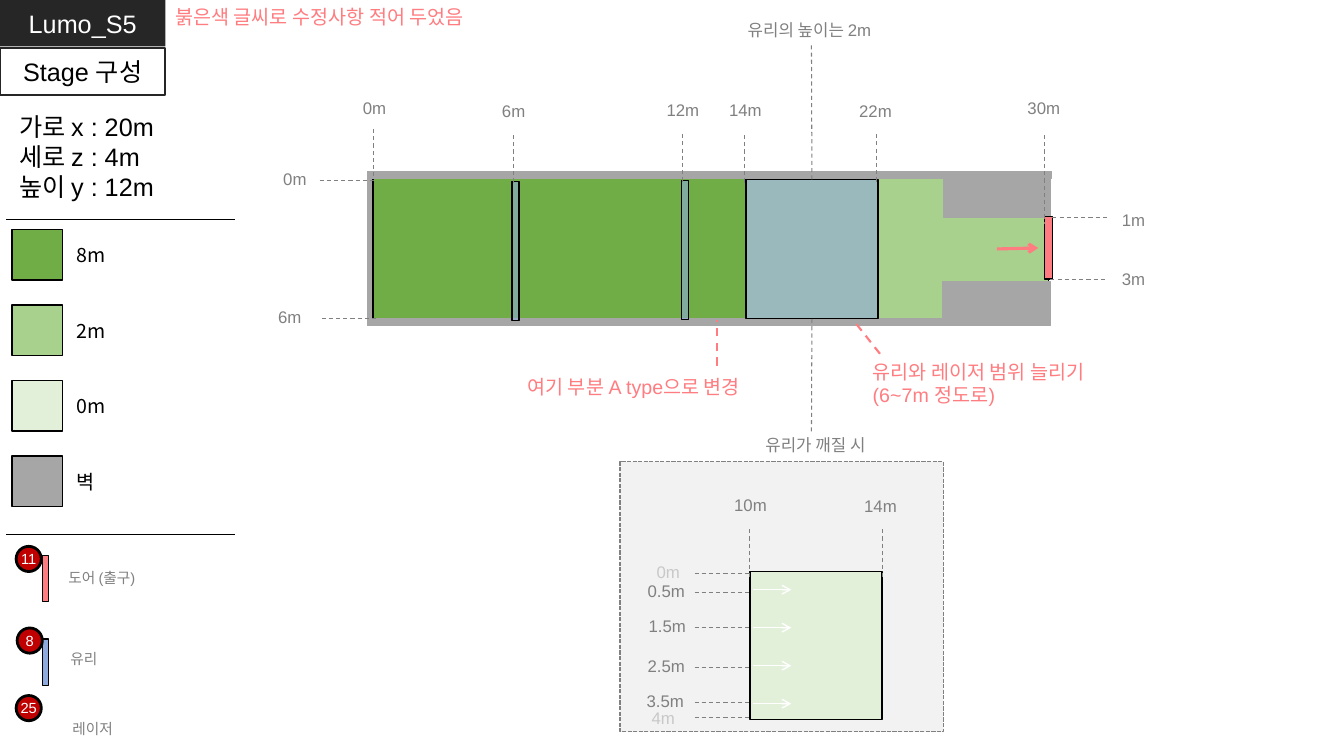
from dataclasses import dataclass
from lxml.etree import SubElement
from pptx import Presentation
from pptx.dml.color import RGBColor
from pptx.enum.dml import MSO_LINE
from pptx.enum.shapes import MSO_CONNECTOR, MSO_SHAPE
from pptx.enum.text import MSO_ANCHOR, MSO_AUTO_SIZE, PP_ALIGN
from pptx.oxml.ns import qn
from pptx.util import Inches, Pt


@dataclass(frozen=True)
class Theme:
    black: str = "000000"
    white: str = "FFFFFF"
    dark: str = "262626"
    gray: str = "808080"
    faint: str = "C8C8C8"
    wall: str = "A6A6A6"
    panel: str = "F2F2F2"
    high: str = "70AD47"
    mid: str = "A9D18E"
    low: str = "E2F0D9"
    glass: str = "8FAADC"
    coral: str = "FF7C80"
    badge: str = "C00000"
    font: str = "Arial"
    korean: str = "Noto Sans CJK KR"
    head: float = 18
    note: float = 14
    label: float = 12
    small: float = 10.5


T = Theme()
COLS, ROWS = 133.33, 75  # grid of tenth-inch cells


def cell(n):
    return Inches(n / 10)


def rgb(color):
    return RGBColor.from_string(color)


# Text
def write(s, text, size, color, align=PP_ALIGN.LEFT, font=T.font,
          anchor=MSO_ANCHOR.TOP, wrap=True):
    tf = s.text_frame
    tf.text = text
    tf.word_wrap = wrap
    tf.auto_size = MSO_AUTO_SIZE.NONE
    tf.vertical_anchor = anchor
    for p in tf.paragraphs:
        p.alignment = align
        p.space_before = Pt(0)
        for r in p.runs:
            r.font.name, r.font.size = font, Pt(size)
            r.font.color.rgb = rgb(color)
            SubElement(r.font._element, qn("a:ea"), typeface=T.korean)


def place(s, x, y, w, h):
    s.left, s.top, s.width, s.height = map(cell, (x, y, w, h))


def textbox(sp, text, x, y, w, h, size=T.label, color=T.gray,
            align=PP_ALIGN.LEFT, font=T.font):
    s = sp.add_textbox(*map(cell, (x, y, w, h)))
    write(s, text, size, color, align, font)


def label(sp, text, cx, y, color=T.gray, w=5.8):
    textbox(sp, text, cx - w / 2, y, w, 3, color=color, align=PP_ALIGN.CENTER)


# Shapes and lines
def box(sp, x, y, w, h, fill, line=T.black, width=1, kind=MSO_SHAPE.RECTANGLE, alpha=None):
    s = sp.add_shape(kind, *map(cell, (x, y, w, h)))
    s.shadow.inherit = False
    s.fill.solid()
    s.fill.fore_color.rgb = rgb(fill)
    s.line.color.rgb = rgb(line)
    s.line.width = Pt(width)
    if alpha:
        clr = s._element.spPr.find(qn("a:solidFill"))[0]
        SubElement(clr, qn("a:alpha"), val=str(alpha * 1000))
    return s


def line(sp, x1, y1, x2, y2, color=T.gray, width=0.75, dash=True, arrow=False):
    s = sp.add_connector(MSO_CONNECTOR.STRAIGHT, *map(cell, (x1, y1, x2, y2)))
    s.line.color.rgb = rgb(color)
    s.line.width = Pt(width)
    if dash:
        s.line.dash_style = MSO_LINE.DASH
    if arrow:
        SubElement(s.line._get_or_add_ln(), qn("a:tailEnd"), type="arrow")
    SubElement(s._element.spPr, qn("a:effectLst"))
    return s


def badge(sp, text, x, y):
    s = box(sp, x, y, 2.5, 2.5, T.badge, width=2, kind=MSO_SHAPE.OVAL)
    tf = s.text_frame
    tf.margin_left = tf.margin_right = tf.margin_top = tf.margin_bottom = 0
    write(s, text, T.small, T.white, PP_ALIGN.CENTER, anchor=MSO_ANCHOR.MIDDLE, wrap=False)


# Left column: headings, size list and legend
def headings(slide):
    title, body = slide.placeholders
    place(title, 0, 0, 16.4, 4.6)
    title.fill.solid()
    title.fill.fore_color.rgb = rgb(T.dark)
    write(title, "Lumo_S5", T.head, T.white, PP_ALIGN.CENTER, anchor=MSO_ANCHOR.MIDDLE)
    place(body, 0.9, 10.5, 22, 10.1)
    write(body, "가로 x : 20m\n세로 z : 4m\n높이 y : 12m", T.head, T.black)
    for p in body.text_frame.paragraphs:
        pPr = p._p.get_or_add_pPr()
        pPr.set("marL", "0")
        pPr.set("indent", "0")
        SubElement(pPr, qn("a:buNone"))
    s = box(slide.shapes, 0, 4.8, 16.4, 4.6, T.white, T.dark, 1.5)
    write(s, "Stage 구성", T.head, T.black, PP_ALIGN.CENTER, anchor=MSO_ANCHOR.MIDDLE)


def legend(sp):
    for y in (21.8, 53):
        line(sp, 0.6, y, 23.3, y, T.black, 1, dash=False)
    swatches = (("8m", T.high), ("2m", T.mid), ("0m", T.low), ("벽", T.wall))
    for i, (text, color) in enumerate(swatches):
        y = 22.8 + 7.48 * i
        box(sp, 1.2, y, 5, 5, color)
        textbox(sp, text, 6.6, y + 0.85, 7.1, 3.3, T.note, T.black, font=T.korean)
    for y, color in ((55.1, T.coral), (63.4, T.glass)):
        box(sp, 4.2, y, 0.6, 4.6, color)
    for number, x, y, text, tx, ty in (("11", 1.6, 54.2, "도어 (출구)", 5.8, 55.9),
                                       ("8", 1.7, 62.3, "유리", 6, 64),
                                       ("25", 1.6, 69, "레이저", 6.2, 70.9)):
        badge(sp, number, x, y)
        textbox(sp, text, tx, ty, 15.8, 2.8, T.small)


# Stage seen from above
def stage(sp):
    box(sp, 71.1, 17.6, 32.9, 14.7, T.mid)
    box(sp, 36.5, 17, 0.7, 15.3, T.wall, T.wall)
    box(sp, 37, 17.6, 37, 14.7, T.high)
    for x, y, w, h in ((93.5, 27.9, 10.7, 4.3), (93.6, 17.6, 10.6, 4),
                       (36.5, 31.6, 67.7, 0.7), (36.5, 17, 67.8, 0.7)):
        box(sp, x, y, w, h, T.wall, T.wall)
    box(sp, 103.6, 21.5, 0.8, 6.2, T.coral)
    line(sp, 98.9, 24.7, 103, 24.6, T.coral, 2.25, dash=False, arrow=True)
    for x, y in ((50.8, 18), (67.6, 17.9)):
        box(sp, x, y, 0.7, 13.8, T.glass, alpha=60)
    pane = box(sp, 74, 17.8, 13.1, 13.8, T.glass, alpha=60)
    line(sp, 80.5, 17.8, 80.5, 4.5).begin_connect(pane, 0)
    line(sp, 80.5, 42.8, 80.5, 31.6).end_connect(pane, 2)
    label(sp, "유리의 높이는 2m", 80.3, 1.5, w=17.2)
    label(sp, "유리가 깨질 시", 80.9, 42.6, w=17.2)

    # Distances along the top
    for text, cx, ly, x, top, end in (
            ("0m", 37.15, 9.2, 37.05, 12.8, 17.6), ("6m", 50.95, 9.5, 50.95, 13.4, 18.2),
            ("12m", 67.75, 9.4, 67.75, 13.3, 18.2), ("14m", 73.95, 9.4, 73.9, 13.4, 18.2),
            ("22m", 86.85, 9.5, 86.95, 13.3, 18.1), ("30m", 103.55, 9.2, 103.6, 13.4, 22.2)):
        label(sp, text, cx, ly)
        line(sp, x, top, x, end)
    # Distances at the sides
    for text, cx, ly, x, y in (("0m", 29.25, 16.2, 31.7, 17.9), ("6m", 28.75, 29.9, 31.9, 31.6),
                               ("1m", 112.45, 20.3, 104.4, 21.6),
                               ("3m", 112.45, 26.2, 104.2, 27.7)):
        label(sp, text, cx, ly)
        line(sp, x, y, x + 5.5, y)


# Stage once the glass is broken
def broken_glass(sp):
    panel = box(sp, 61.5, 45.8, 32.1, 26.8, T.panel, T.gray)
    panel.line.dash_style = MSO_LINE.SQUARE_DOT
    box(sp, 74.4, 56.7, 13.1, 14.7, T.low)
    for text, cx, ly, x in (("10m", 74.45, 48.6, 74.4), ("14m", 87.35, 48.7, 87.5)):
        label(sp, text, cx, ly)
        line(sp, x, 52.5, x, 57.3)
    for i in range(4):
        y = 58.5 + 3.77 * i
        line(sp, 74.7, y, 78.5, y, T.white, 1, dash=False, arrow=True)
    for text, cx, ly, y, color in (
            ("0m", 66.3, 55.2, 56.9, T.faint), ("0.5m", 66.1, 57.1, 58.8, T.gray),
            ("1.5m", 66.2, 60.6, 62.3, T.gray), ("2.5m", 66.1, 64.6, 66.2, T.gray),
            ("3.5m", 66, 68, 69.7, T.gray), ("4m", 65.8, 69.7, 71.2, T.faint)):
        label(sp, text, cx, ly, color)
        line(sp, 68.9, y, 74.4, y)


# Requested changes
def remarks(sp):
    line(sp, 87.3, 35.1, 84.6, 31.7, T.coral, 1.5)
    line(sp, 71.1, 36.3, 71.1, 31.7, T.coral, 1.5)
    for text, x, y, w, h, align in (
            ("유리와 레이저 범위 늘리기\n(6~7m 정도로)", 85.6, 35.2, 32.4, 5.7, PP_ALIGN.LEFT),
            ("여기 부분 A type으로 변경", 42, 36.7, 32.4, 3.4, PP_ALIGN.RIGHT),
            ("붉은색 글씨로 수정사항 적어 두었음", 16.4, 0, 37.9, 3.4, PP_ALIGN.LEFT)):
        textbox(sp, text, x, y, w, h, T.note, T.coral, align)


def main():
    prs = Presentation()
    prs.slide_width, prs.slide_height = cell(COLS), cell(ROWS)
    slide = prs.slides.add_slide(prs.slide_layouts[1])
    headings(slide)
    for part in (legend, stage, broken_glass, remarks):
        part(slide.shapes)
    prs.save("out.pptx")


if __name__ == "__main__":
    main()
